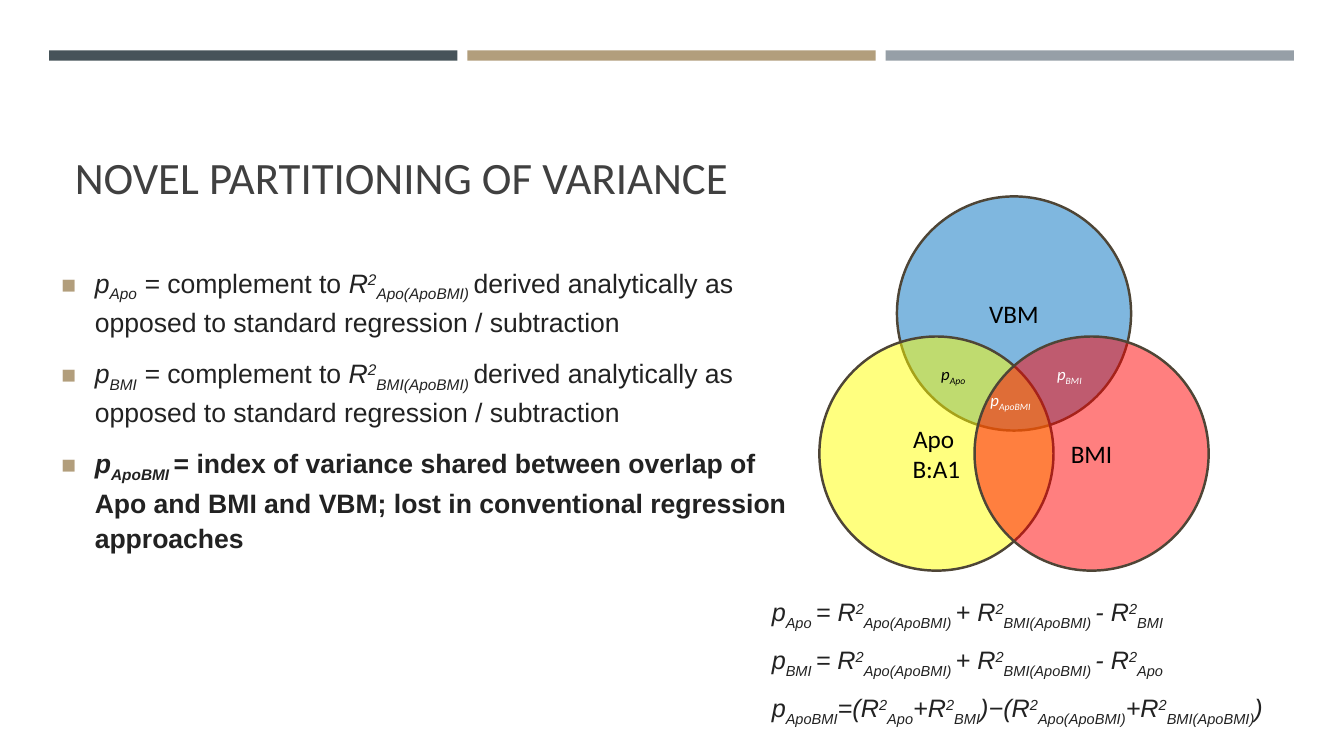
import pptx
import pptx.dml.color
import pptx.enum.shapes
import pptx.enum.text
import pptx.oxml
import pptx.oxml.ns
import pptx.util
from pptx.util import Cm

ANCHOR = pptx.enum.text.MSO_ANCHOR
ALIGN = pptx.enum.text.PP_ALIGN
SHAPE = pptx.enum.shapes.MSO_SHAPE
BASELINES = {"_": "-25000", "^": "30000"}


def color(hex_code):
    return pptx.dml.color.RGBColor.from_string(hex_code)


def xml(tag, attributes="", inner=""):
    namespace = pptx.oxml.ns.nsdecls("a")
    return pptx.oxml.parse_xml(f"<a:{tag} {namespace} {attributes}>{inner}</a:{tag}>")


class VarianceSlide:
    heading_font = "Calibri"
    body_font = "Arial"
    ink = "222222"
    accent = "B29E7C"
    outline = "4E4536"

    def __init__(self, presentation):
        self.slide = presentation.slides.add_slide(presentation.slide_layouts[5])

    def style(self, paragraph, font, size, hex_code, italic=None, bold=None):
        paragraph.font.name = font
        paragraph.font.size = pptx.util.Pt(size)
        paragraph.font.color.rgb = color(hex_code)
        paragraph.font.italic = italic
        paragraph.font.bold = bold

    def write_math(self, paragraph, markup):
        """Pieces are split by |: _ lowers, ^ raises, ~ makes upright."""
        for piece in markup.split("|"):
            run = paragraph.add_run()
            run.text = piece.lstrip("_^~")
            if piece[0] in BASELINES:
                run.font._element.set("baseline", BASELINES[piece[0]])
            elif piece[0] == "~":
                run.font.italic = False

    def shape(self, kind, left, top, width, height, fill):
        shape = self.slide.shapes.add_shape(kind, Cm(left), Cm(top), Cm(width), Cm(height))
        shape.shadow.inherit = False
        shape.fill.solid()
        shape.fill.fore_color.rgb = color(fill)
        shape.line.fill.background()
        return shape

    def title(self, text, left, top, width, height):
        title = self.slide.shapes.title
        title.left, title.top, title.width, title.height = map(Cm, (left, top, width, height))
        frame = title.text_frame
        frame.text = text
        frame.auto_size = pptx.enum.text.MSO_AUTO_SIZE.NONE
        frame.vertical_anchor = ANCHOR.BOTTOM
        frame.paragraphs[0].alignment = ALIGN.LEFT
        self.style(frame.paragraphs[0], self.heading_font, 32, "404040")

    def circle(self, lines, left, top, diameter, fill):
        circle = self.shape(SHAPE.OVAL, left, top, diameter, diameter, fill)
        circle.fill._xPr.find(".//" + pptx.oxml.ns.qn("a:srgbClr")).append(
            xml("alpha", 'val="50000"'))
        circle.line.color.rgb = color(self.outline)
        circle.line.width = pptx.util.Pt(1.75)
        frame = circle.text_frame
        frame.text = "\n".join(lines)
        frame.vertical_anchor = ANCHOR.MIDDLE
        for paragraph in frame.paragraphs:
            paragraph.alignment = ALIGN.CENTER
            self.style(paragraph, self.heading_font, 18, "000000")

    def text_frame(self, left, top, width, height, wrap=True):
        box = self.slide.shapes.add_textbox(Cm(left), Cm(top), Cm(width), Cm(height))
        box.text_frame.word_wrap = wrap
        return box.text_frame

    def formula(self, markup, left, top, width, height, font, size, hex_code, wrap=True):
        paragraph = self.text_frame(left, top, width, height, wrap).paragraphs[0]
        self.style(paragraph, font, size, hex_code, italic=True)
        self.write_math(paragraph, markup)

    def bullets(self, items, left, top, width, height):
        frame = self.text_frame(left, top, width, height)
        for index, (markup, bold) in enumerate(items):
            paragraph = frame.add_paragraph() if index else frame.paragraphs[0]
            paragraph.line_spacing = 1.1
            paragraph.space_after = pptx.util.Pt(6)
            if index:
                paragraph.space_before = pptx.util.Pt(5)
            properties = paragraph._p.get_or_add_pPr()
            properties.set("marL", str(Cm(0.84)))
            properties.set("indent", str(-Cm(0.84)))
            properties.append(xml("buClr", inner=f'<a:srgbClr val="{self.accent}"/>'))
            properties.append(xml("buSzPct", 'val="92000"'))
            properties.append(xml("buFont", 'typeface="Arial"'))
            properties.append(xml("buChar", 'char="■"'))
            self.style(paragraph, self.body_font, 19, self.ink, italic=True, bold=bold)
            self.write_math(paragraph, markup)


def main():
    presentation = pptx.Presentation()
    presentation.slide_width = Cm(33.87)
    presentation.slide_height = Cm(19.05)
    page = VarianceSlide(presentation)

    # Top bars and title
    for column, bar_fill in enumerate(("465359", page.accent, "969FA7")):
        page.shape(SHAPE.RECTANGLE, 1.24 + 10.54 * column, 1.27, 10.29, 0.26, bar_fill)
    page.title("NOVEL PARTITIONING OF VARIANCE", 1.63, 1.96, 30.63, 3.3)

    # Venn diagram
    diameter, apo_left, spread, lower_top = 5.9, 20.65, 3.91, 8.48
    page.circle(["VBM"], apo_left + spread / 2, 4.95, diameter, "0070C0")
    page.circle(["Apo ", "B:A1"], apo_left, lower_top, diameter, "FFFF00")
    page.circle(["BMI"], apo_left + spread, lower_top, diameter, "FF0000")
    for overlap, left, top, width, ink in (
        ("Apo", 23.47, 9.04, 1.24, "000000"),
        ("BMI", 26.39, 9.04, 1.22, "FFFFFF"),
        ("ApoBMI", 24.71, 9.7, 1.73, "FFFFFF"),
    ):
        page.formula(f"p|_{overlap}", left, top, width, 0.76,
                     page.heading_font, 12, ink, wrap=False)

    # Equations
    joint_sum = "= R|^2|_Apo(ApoBMI) |+ R|^2|_BMI(ApoBMI) |- R|^2"
    equations = (
        f"p|_Apo |{joint_sum}|_BMI",
        f"p|_BMI |{joint_sum}|_Apo",
        "p|_ApoBMI|=(R|^2|_Apo|+R|^2|_BMI|)−(R|^2|_Apo(ApoBMI)|+R|^2|_BMI(ApoBMI)|)",
    )
    for row, equation in enumerate(equations):
        page.formula(equation, 19.2, 14.91 + 1.21 * row, 14.4, 1.02,
                     page.body_font, 18, page.ink)

    # Definitions
    definitions = [
        (f"p|_{part}| = |~complement to |R|^2|_{part}(ApoBMI) |"
         "~derived analytically as opposed to standard regression / subtraction", None)
        for part in ("Apo", "BMI")
    ]
    definitions.append((
        "p|_ApoBMI |~= index of variance shared between overlap of Apo and BMI and VBM; "
        "lost in conventional regression approaches", True))
    page.bullets(definitions, 1.3, 6.5, 19.2, 7.8)

    presentation.save("out.pptx")


if __name__ == "__main__":
    main()
